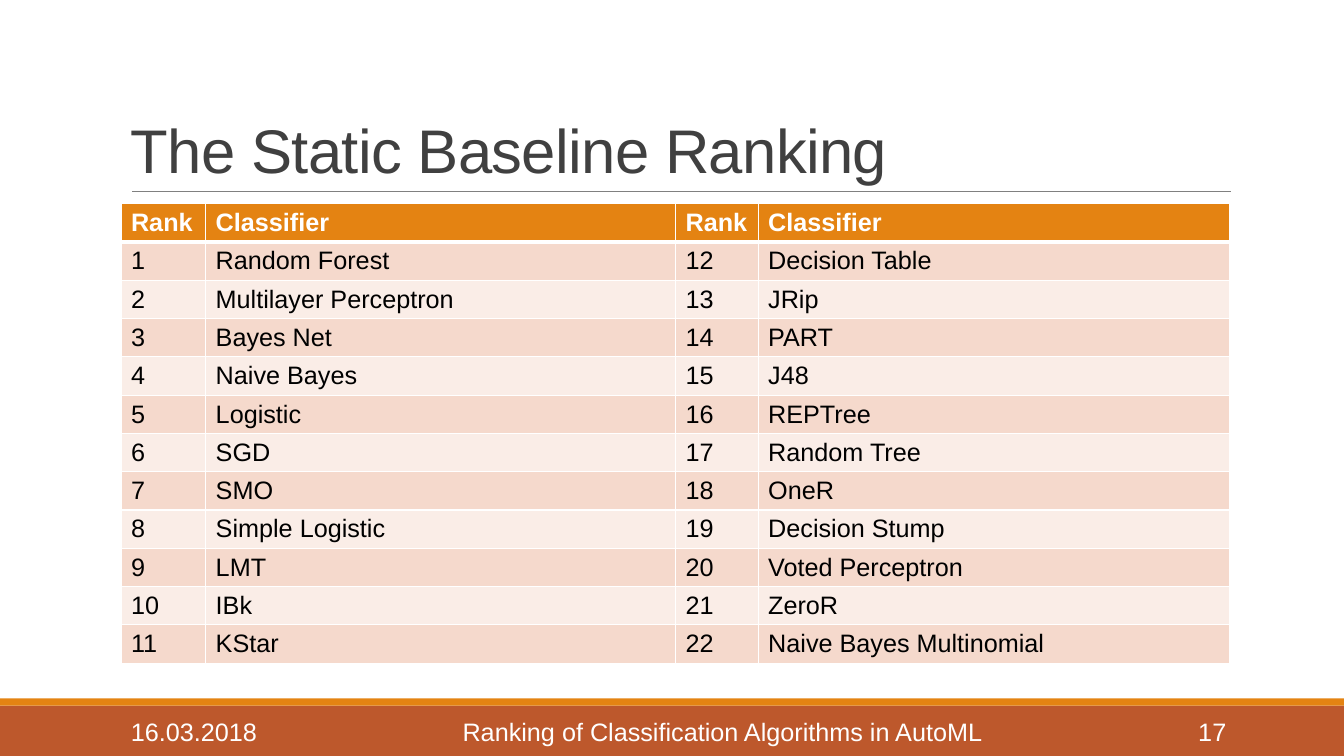
from lxml.etree import SubElement
from pptx import Presentation
from pptx.dml.color import RGBColor
from pptx.enum.shapes import MSO_CONNECTOR, MSO_SHAPE
from pptx.enum.text import MSO_ANCHOR as Anchor, PP_ALIGN as Align
from pptx.oxml import parse_xml
from pptx.oxml.ns import nsdecls, qn
from pptx.util import Inches, Pt

WHITE = RGBColor(0xFF, 0xFF, 0xFF)
BLACK = RGBColor(0, 0, 0)
CHARCOAL = RGBColor(0x40, 0x40, 0x40)
GRAY = RGBColor(0x80, 0x80, 0x80)
ORANGE = RGBColor(0xE4, 0x83, 0x12)
RUST = RGBColor(0xBD, 0x58, 0x2C)
PEACH = RGBColor(0xF5, 0xD9, 0xCC)
BLUSH = RGBColor(0xFA, 0xED, 0xE7)

CLASSIFIERS = [
    "Random Forest", "Multilayer Perceptron", "Bayes Net", "Naive Bayes",
    "Logistic", "SGD", "SMO", "Simple Logistic", "LMT", "IBk", "KStar",
    "Decision Table", "JRip", "PART", "J48", "REPTree", "Random Tree",
    "OneR", "Decision Stump", "Voted Perceptron", "ZeroR",
    "Naive Bayes Multinomial",
]


class RankingSlide:
    """Holds the style and the current slide, and draws each kind of element."""

    font = "Arial"
    size = 18

    def __init__(self, slide):
        self.slide = slide

    def set_text(self, frame, text, color, size=None, bold=False, align=Align.LEFT):
        frame.text = text
        paragraph = frame.paragraphs[0]
        paragraph.alignment = align
        font = paragraph.runs[0].font
        font.name, font.size, font.bold = self.font, Pt(size or self.size), bold
        font.color.rgb = color
        return paragraph

    def text(self, left, top, width, height, text, color,
             size=None, align=Align.LEFT, anchor=Anchor.MIDDLE):
        frame = self.slide.shapes.add_textbox(
            Inches(left), Inches(top), Inches(width), Inches(height)).text_frame
        frame.word_wrap = True
        frame.vertical_anchor = anchor
        return self.set_text(frame, text, color, size, align=align)

    def band(self, top, height, color):
        band = self.slide.shapes.add_shape(
            MSO_SHAPE.RECTANGLE, 0, Inches(top), Inches(13.33), Inches(height))
        band.shadow.inherit = False
        band.fill.solid()
        band.fill.fore_color.rgb = color
        band.line.fill.background()

    def rule(self, left, right, top, color, width):
        rule = self.slide.shapes.add_connector(
            MSO_CONNECTOR.STRAIGHT, Inches(left), Inches(top), Inches(right), Inches(top))
        rule.line.color.rgb = color
        rule.line.width = Pt(width)
        SubElement(rule._element.spPr, qn("a:effectLst"))

    def borders(self, cell, top, bottom):
        widths = {"L": 1, "R": 1, "T": top, "B": bottom}
        properties = cell._tc.get_or_add_tcPr()
        for index, (side, width) in enumerate(widths.items()):
            properties.insert(index, parse_xml(
                f'<a:ln{side} {nsdecls("a")} w="{Pt(width)}"><a:solidFill>'
                f'<a:srgbClr val="{WHITE}"/></a:solidFill></a:ln{side}>'))

    def table(self, left, top, widths, row_height, rows):
        table = self.slide.shapes.add_table(
            len(rows), len(widths), Inches(left), Inches(top),
            Inches(sum(widths)), Inches(row_height * len(rows))).table
        for column, width in zip(table.columns, widths):
            column.width = Inches(width)
        for r, values in enumerate(rows):
            table.rows[r].height = Inches(row_height)
            header = r == 0
            fill = ORANGE if header else PEACH if r % 2 else BLUSH
            for c, value in enumerate(values):
                cell = table.cell(r, c)
                cell.margin_top = cell.margin_bottom = Inches(0.04)
                cell.vertical_anchor = Anchor.MIDDLE
                cell.fill.solid()
                cell.fill.fore_color.rgb = fill
                self.set_text(cell.text_frame, value, WHITE if header else BLACK, bold=header)
                self.borders(cell, top=3 if r == 1 else 1, bottom=3 if header else 1)


deck = Presentation()
deck.slide_width, deck.slide_height = Inches(13.33), Inches(7.5)
page = RankingSlide(deck.slides.add_slide(deck.slide_layouts[6]))

page.band(7, 0.5, RUST)
page.band(6.93, 0.07, ORANGE)
page.rule(1.31, 12.21, 1.9, GRAY, 0.5)

title = page.text(1.2, 0.31, 11, 1.59, "The Static Baseline Ranking", CHARCOAL,
                  size=44, anchor=Anchor.BOTTOM)
title.line_spacing = 0.85
title.runs[0].font._element.set("spc", "-50")

half = len(CLASSIFIERS) // 2
ranking = [["Rank", "Classifier"] * 2]
for rank in range(1, half + 1):
    ranking.append([str(rank), CLASSIFIERS[rank - 1],
                    str(rank + half), CLASSIFIERS[rank + half - 1]])
page.table(1.2, 2.02, [0.84, 4.66, 0.82, 4.68], 0.38, ranking)

footer = [
    (1.2, 1.59, "16.03.2018", Align.LEFT),
    (2.79, 8.75, "Ranking of Classification Algorithms in AutoML", Align.CENTER),
    (11.54, 0.72, "17", Align.RIGHT),
]
for left, width, label, align in footer:
    page.text(left, 7.06, width, 0.4, label, WHITE, align=align)

deck.save("out.pptx")
